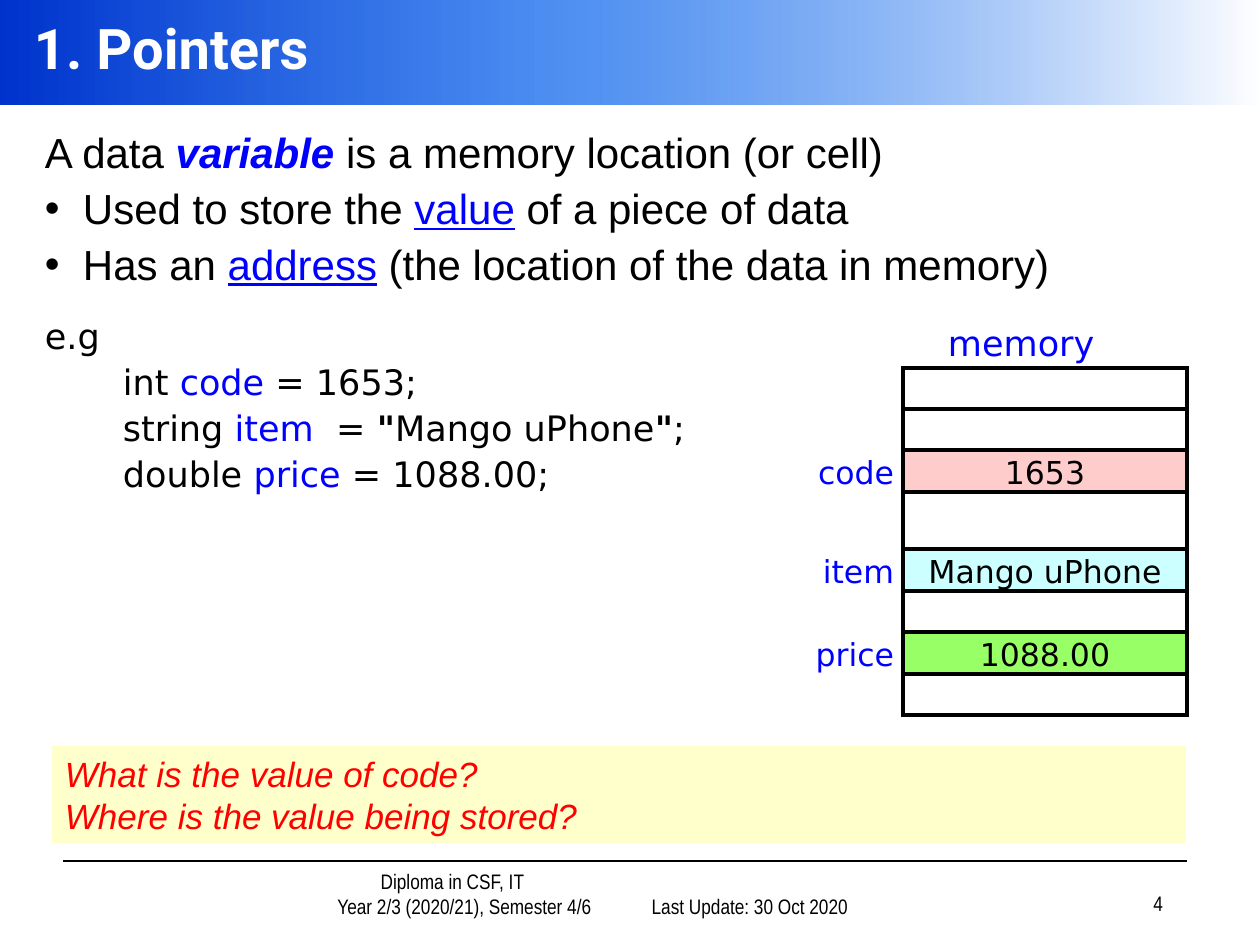
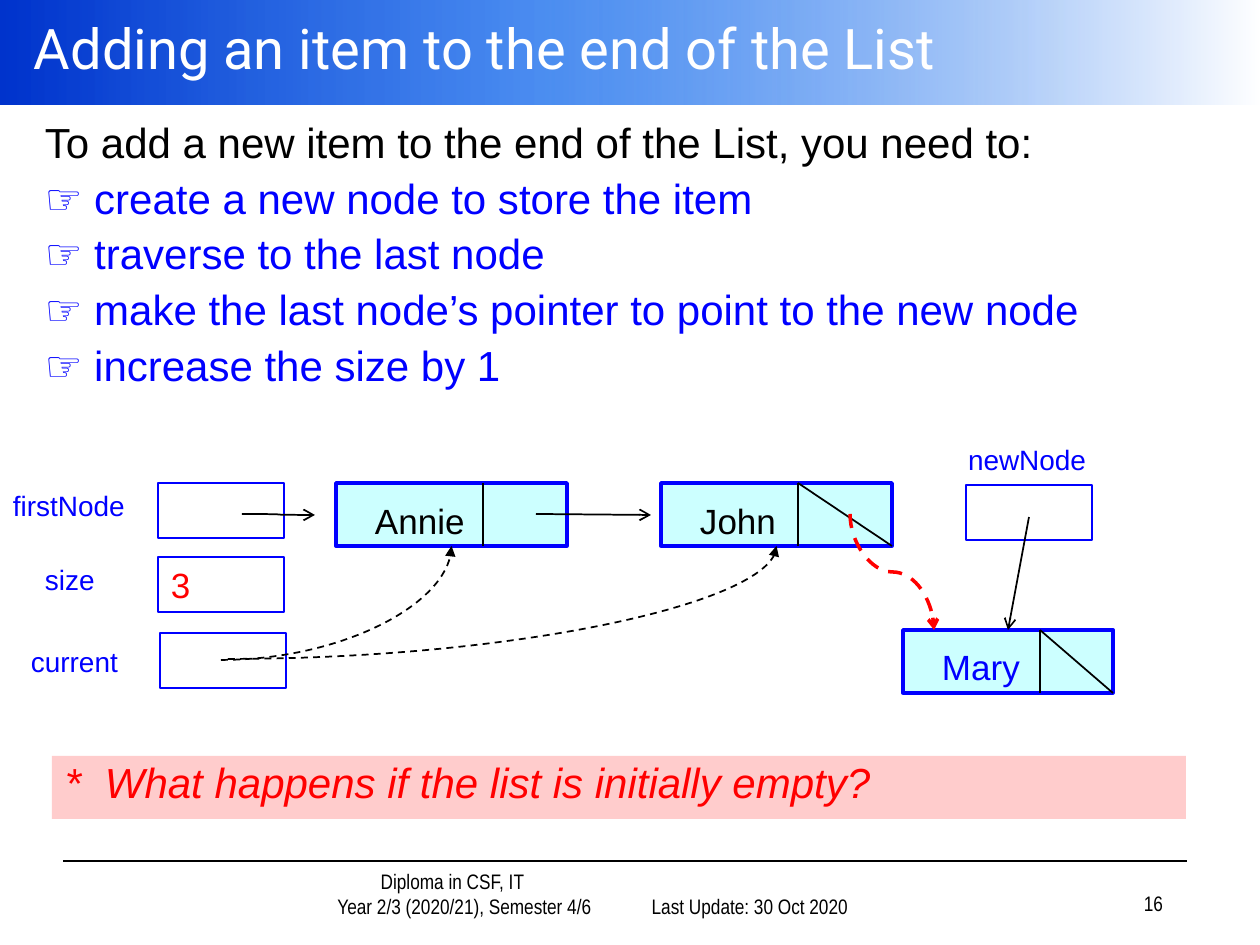
"""Build two lecture slides about pointers and linked lists."""
import copy

from lxml import etree
from pptx import Presentation
from pptx import util as u
from pptx.dml import color
from pptx.enum import dml, shapes, text
from pptx.oxml import ns

SCALE = 914400 / 126
BLACK, WHITE, BLUE, RED = "000000", "FFFFFF", "0000FF", "FF0000"
NAVY, AZURE = "0033CC", "005EEB"
PINK, CYAN, GREEN, YELLOW = "FFCCCC", "CCFFFF", "99FF66", "FFFFCC"
SANS, NARROW, CODE, HEADING = "Arial", "Arial Narrow", "DejaVu Sans", "Roboto"
LEFT, CENTER, RIGHT = text.PP_ALIGN.LEFT, text.PP_ALIGN.CENTER, text.PP_ALIGN.RIGHT
TOP, MIDDLE, BOTTOM = text.MSO_ANCHOR.TOP, text.MSO_ANCHOR.MIDDLE, text.MSO_ANCHOR.BOTTOM
STRAIGHT, CURVE = shapes.MSO_CONNECTOR.STRAIGHT, shapes.MSO_CONNECTOR.CURVE


def px(*lengths):
    """Turn px lengths into EMU."""
    return [u.Emu(round(length * SCALE)) for length in lengths]


def rgb(value):
    """Turn a hex string into a colour."""
    return color.RGBColor.from_string(value)


def child(parent, tag, **attributes):
    """Append a DrawingML element."""
    return etree.SubElement(parent, ns.qn(tag), **attributes)


class Deck:
    """Hold the shared style and the slide being built."""

    def __init__(self):
        """Start a presentation of 1260 by 945 px."""
        self.presentation = Presentation()
        self.presentation.slide_width, self.presentation.slide_height = px(1260, 945)
        self.slide = None

    def start_slide(self, title, number, bold=False):
        """Add a slide with its band, title and footer."""
        self.slide = self.presentation.slides.add_slide(self.presentation.slide_layouts[5])
        self.band()
        shape = self.slide.shapes.title
        shape.left, shape.top, shape.width, shape.height = px(21, 0, 1239, 95)
        shape.element.getparent().append(shape.element)
        self.frame(shape, anchor=MIDDLE)
        self.paragraph(shape.text_frame, [title], size=32, font=HEADING, ink=WHITE, bold=bold)
        self.line((63, 861), (1187, 861))
        footer = dict(size=12, font=NARROW)
        course = self.text_box((212, 872, 418, 53), anchor=BOTTOM)
        self.paragraph(course, ["Diploma in CSF, IT"], align=CENTER, indent=63, **footer)
        self.paragraph(course, ["Year 2/3 (2020/21), Semester 4/6"], align=CENTER, indent=87, **footer)
        for box, words in (((599, 872, 262, 53), "Last Update: 30 Oct 2020"),
                           ((914, 869, 262, 53), str(number))):
            self.paragraph(self.text_box(box, anchor=BOTTOM), [words], align=RIGHT, **footer)

    def band(self):
        """Draw the gradient behind the title."""
        shape = self.rectangle((0, 0, 1260, 105))
        shape.fill.gradient()
        shape.fill.gradient_angle = 0
        for stop, value in zip(shape.fill.gradient_stops, (NAVY, WHITE)):
            stop.color.rgb = rgb(value)
        stops = shape.element.spPr.find(".//" + ns.qn("a:gsLst"))
        stops[1].set("pos", "100000")
        middle = copy.deepcopy(stops[0])
        middle.set("pos", "43000")
        middle[0].set("val", AZURE)
        child(middle[0], "a:alpha", val="70000")
        stops.insert(1, middle)

    def frame(self, shape, anchor=TOP, inset=(13, 6)):
        """Set wrapping, anchor and insets of a text frame."""
        frame = shape.text_frame
        frame.word_wrap = True
        frame.auto_size = text.MSO_AUTO_SIZE.NONE
        frame.vertical_anchor = anchor
        frame.margin_left, frame.margin_top, frame.margin_right, frame.margin_bottom = px(*inset, 13, 6)
        return frame

    def paragraph(self, frame, pieces, size=24, font=SANS, ink=BLACK, bold=False, italic=False,
                  align=LEFT, spacing=None, before=0, indent=0, hanging=0, bullet=None):
        """Write one paragraph of strings or (string, style) pieces."""
        paragraph = frame.paragraphs[0]
        if paragraph.runs:
            paragraph = frame.add_paragraph()
        paragraph.alignment = align
        paragraph.space_before = u.Pt(before)
        if spacing:
            paragraph.line_spacing = spacing
        properties = paragraph._p.get_or_add_pPr()
        properties.set("marL", str(px(indent)[0]))
        properties.set("indent", str(px(-hanging)[0]))
        if bullet:
            child(properties, "a:buFont", typeface=SANS)
            child(properties, "a:buChar", char=bullet)
        base = dict(ink=ink, bold=bold, italic=italic, underline=False)
        for piece in pieces:
            words, changes = (piece, {}) if isinstance(piece, str) else piece
            style = {**base, **changes}
            run = paragraph.add_run()
            run.text = words
            run.font.size, run.font.name = u.Pt(size), font
            run.font.bold, run.font.italic = style["bold"], style["italic"]
            run.font.underline = style["underline"]
            run.font.color.rgb = rgb(style["ink"])

    def text_box(self, box, **options):
        """Add a text box and return its frame."""
        return self.frame(self.slide.shapes.add_textbox(*px(*box)), **options)

    def label(self, box, words, **style):
        """Add a one-line blue label."""
        self.paragraph(self.text_box(box), [words], ink=BLUE, **style)

    def rectangle(self, box, fill=None, line=None, width=1.5):
        """Add a rectangle without shadow."""
        shape = self.slide.shapes.add_shape(shapes.MSO_SHAPE.RECTANGLE, *px(*box))
        shape.shadow.inherit = False
        if fill:
            shape.fill.solid()
            shape.fill.fore_color.rgb = rgb(fill)
        else:
            shape.fill.background()
        if line:
            shape.line.color.rgb = rgb(line)
            shape.line.width = u.Pt(width)
        else:
            shape.line.fill.background()
        return shape

    def line(self, start, end, kind=STRAIGHT, ink=BLACK, width=1, arrow=None, dashed=False):
        """Add a connector, with an arrowhead if one is named."""
        connector = self.slide.shapes.add_connector(kind, *px(*start, *end))
        connector.line.color.rgb = rgb(ink)
        connector.line.width = u.Pt(width)
        if dashed:
            connector.line.dash_style = dml.MSO_LINE.DASH
        properties = connector.element.spPr
        if arrow:
            child(properties.find(ns.qn("a:ln")), "a:tailEnd", type=arrow)
        child(properties, "a:effectLst")
        return connector

    def node(self, box, name, divider, ink=BLACK, last=False):
        """Draw a list node with its data and pointer cells."""
        left, top, width, height = box
        shape = self.rectangle(box, CYAN, BLUE, 2)
        self.paragraph(self.frame(shape, inset=(39, 16)), [name], size=20, ink=ink)
        split = left + divider
        self.line((split, top), (split, top + height))
        if last:
            self.line((split, top), (left + width, top + height))
        return shape

    def memory_table(self, left, top, columns, rows):
        """Draw memory cells, each row being height, name, value and fill."""
        heights = [row[0] for row in rows]
        table = self.slide.shapes.add_table(
            len(rows), 2, *px(left, top, sum(columns), sum(heights))).table
        table.first_row = table.horz_banding = False
        for column, width in zip(table.columns, px(*columns)):
            column.width = width
        for index, (height, name, value, fill) in enumerate(rows):
            table.rows[index].height = px(height)[0]
            self.cell(table.cell(index, 0), name, None, BLUE, RIGHT, "R")
            self.cell(table.cell(index, 1), value, fill, BLACK, CENTER, "LRTB")

    def cell(self, cell, words, fill, ink, align, sides):
        """Fill one table cell and draw its borders."""
        cell.margin_left, cell.margin_top, cell.margin_right, cell.margin_bottom = px(9, 0, 9, 0)
        if fill:
            cell.fill.solid()
            cell.fill.fore_color.rgb = rgb(fill)
        else:
            cell.fill.background()
        if words:
            self.paragraph(cell.text_frame, [words], size=18, font=CODE, ink=ink,
                           align=align, spacing=1.15)
        properties = cell._tc.get_or_add_tcPr()
        for index, side in enumerate(sides):
            border = child(properties, "a:ln" + side, w=str(u.Pt(2.25)))
            child(child(border, "a:solidFill"), "a:srgbClr", val=BLACK)
            properties.insert(index, border)


def pointers_slide(deck):
    """Build the slide on variables in memory."""
    deck.start_slide("1. Pointers", 4, bold=True)
    body = deck.text_box((32, 126, 1187, 714))
    blue, linked, bold = dict(ink=BLUE), dict(ink=BLUE, underline=True), dict(bold=True)
    deck.paragraph(body, ["A data ", ("variable", dict(ink=BLUE, bold=True, italic=True)),
                          " is a memory location (or cell)"], spacing=0.9)
    for pieces in (["Used to store the ", ("value", linked), " of a piece of data"],
                   ["Has an ", ("address", linked), " (the location of the data in memory)"]):
        deck.paragraph(body, pieces, spacing=0.9, before=6, indent=38, hanging=38, bullet="•")
    code = dict(size=20, font=CODE, spacing=0.9)
    deck.paragraph(body, ["e.g"], before=17, **code)
    for pieces in (["int ", ("code", blue), " = 1653;"],
                   ["string ", ("item", blue), "  = ", ('"', bold), "Mango uPhone", ('"', bold), ";"],
                   ["double ", ("price", blue), " = 1088.00;"]):
        deck.paragraph(body, pieces, before=4.8, indent=78, **code)
    empty = (41, None, None, None)
    deck.memory_table(714, 368, (189, 284), [
        empty, empty, (41, "code", "1653", PINK), (57, None, None, None),
        (41, "item", "Mango uPhone", CYAN), empty, (41, "price", "1088.00", GREEN), empty])
    questions = deck.frame(deck.rectangle((52, 746, 1134, 97), YELLOW))
    for question in ("What is the value of code?", "Where is the value being stored?"):
        deck.paragraph(questions, [question], size=20, ink=RED, italic=True)
    deck.label((935, 315, 210, 55), "memory", size=20, font=CODE)


def adding_slide(deck):
    """Build the slide on appending to a linked list."""
    deck.start_slide("Adding an item to the end of the List", 16)
    body = deck.text_box((32, 116, 1197, 305))
    deck.paragraph(body, ["To add a new item to the end of the List, you need to:"], spacing=0.9)
    for step in ("create a new node to store the item", "traverse to the last node",
                 "make the last node’s pointer to point to the new node",
                 "increase the size by 1"):
        deck.paragraph(body, [("☞", dict(bold=True)), " " + step], ink=BLUE, spacing=0.9, before=6)
    annie = deck.node((336, 483, 231, 63), "Annie", 147)
    john = deck.node((661, 483, 231, 63), "John", 137, last=True)
    mary = deck.node((903, 630, 210, 63), "Mary", 137, ink=BLUE, last=True)
    for left, top in ((158, 483), (966, 485), (160, 633)):
        deck.rectangle((left, top, 126, 55), line=BLUE)
    size_box = deck.rectangle((158, 557, 126, 55), WHITE, BLUE)
    deck.paragraph(deck.frame(size_box), ["3"], size=20, ink=RED)
    for box, words in (((0, 483, 168, 47), "firstNode"), ((32, 557, 105, 47), "size"),
                       ((18, 639, 116, 47), "current"), ((955, 437, 168, 47), "newNode")):
        deck.label(box, words, size=16)
    deck.line((242, 514), (315, 515), CURVE, arrow="arrow")
    deck.line((536, 514), (651, 515), arrow="arrow")
    deck.line((1029, 517), (1008, 630), arrow="arrow").end_connect(mary, 0)
    for start, end, target in (((221, 660), (451, 547), annie), ((228, 659), (777, 547), john)):
        trail = deck.line(start, end, CURVE, arrow="triangle", dashed=True)
        trail.element.spPr.find(ns.qn("a:prstGeom")).set("prst", "curvedConnector2")
        trail.end_connect(target, 2)
    new_link = deck.line((950, 530), (834, 614), CURVE, RED, 2, "arrow", dashed=True)
    new_link.element.spPr.find(ns.qn("a:xfrm")).set("rot", "16200000")
    question = deck.frame(deck.rectangle((52, 756, 1134, 63), PINK))
    deck.paragraph(question, ["*\tWhat happens if the list is initially empty?"], ink=RED,
                   italic=True, spacing=0.9, indent=40, hanging=40)


def main():
    """Build and save the presentation."""
    deck = Deck()
    pointers_slide(deck)
    adding_slide(deck)
    deck.presentation.save("out.pptx")


if __name__ == "__main__":
    main()
